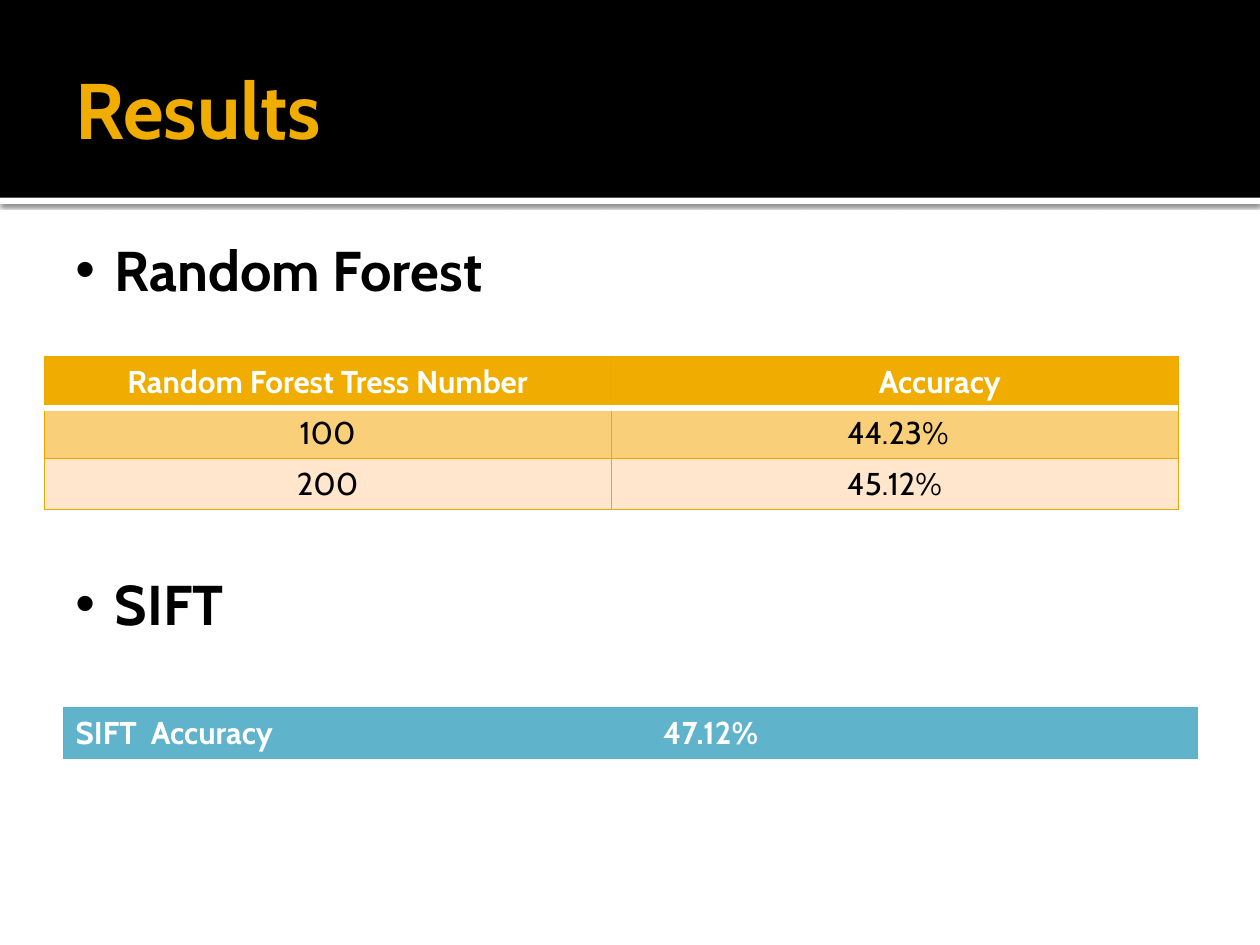
from lxml import etree
from pptx import Presentation
from pptx.dml.color import RGBColor
from pptx.enum import shapes, text
from pptx.oxml import parse_xml
from pptx.oxml.ns import nsdecls, qn
from pptx.util import Pt

THEME = dict(
    font="Cabin", title=45, heading=32, table=18,
    white="FFFFFF", black="000000", gold="F0AD00", gold_line="EBA900",
    band="F9CF7A", pale="FFE6CC", teal="5FB3CB", teal_line="5BB3CA",
)
CENTER, LEFT = text.PP_ALIGN.CENTER, text.PP_ALIGN.LEFT


def write(frame, words, size, color, bold=True, align=LEFT, **layout):
    """Put one styled line of text in a frame."""
    layout = dict(word_wrap=True, vertical_anchor=text.MSO_ANCHOR.TOP) | layout
    for key, value in layout.items():
        setattr(frame, key, value)
    line = frame.paragraphs[0]
    line.alignment = align
    run = line.add_run()
    run.text = words
    for key, value in dict(name=THEME["font"], size=Pt(THEME[size]), bold=bold).items():
        setattr(run.font, key, value)
    run.font.color.rgb = RGBColor.from_string(THEME[color])
    return line


def border(cell, sides):
    """Draw cell edges from a dict of side: (colour, width)."""
    props = cell._tc.get_or_add_tcPr()
    for index, side in enumerate("LRTB"):
        color, width = sides[side]
        props.insert(index, parse_xml(
            f'<a:ln{side} {nsdecls("a")} w="{Pt(width)}"><a:solidFill>'
            f'<a:srgbClr val="{THEME[color]}"/></a:solidFill></a:ln{side}>'))


prs = Presentation()
prs.slide_width, prs.slide_height = Pt(720), Pt(540)
slide = prs.slides.add_slide(prs.slide_layouts[6])

# Header band with a shadowed white rule below it
for top, height, color in ((113, 3.6, "white"), (0, 113, "black")):
    band = slide.shapes.add_shape(
        shapes.MSO_SHAPE.RECTANGLE, Pt(0), Pt(top), Pt(720), Pt(height))
    band.shadow.inherit = False
    band.fill.solid()
    band.fill.fore_color.rgb = RGBColor.from_string(THEME[color])
    band.line.fill.background()
    if color == "white":
        effects = band._element.spPr.find(qn("a:effectLst"))
        shadow = etree.SubElement(effects, qn("a:outerShdw"), blurRad=str(Pt(2.5)),
                                  dist=str(Pt(0.8)), dir="5400000", rotWithShape="0")
        shade = etree.SubElement(shadow, qn("a:srgbClr"), val=THEME["black"])
        etree.SubElement(shade, qn("a:alpha"), val="60000")

title = slide.shapes.add_textbox(Pt(36), Pt(12.24), Pt(648), Pt(98.64))
write(title.text_frame, "Results", "title", "gold",
      vertical_anchor=text.MSO_ANCHOR.MIDDLE, margin_right=Pt(3.6))

# Each table: left, top, row height, line colour, rows of (fill, text colour, bold, align, cells);
# a cell is its words and its left margin
tables = [
    (25.2, 203.76, 29.2, "gold_line", [
        ("gold", "white", True, CENTER, [("Random Forest Tress Number", 7.2), ("Accuracy", 59)]),
        ("band", "black", False, CENTER, [("100", 7.2), ("44.23%", 11)]),
        ("pale", "black", False, CENTER, [("200", 7.2), ("45.12%", 7.2)]),
    ]),
    (36, 404.3, 29.2, "teal_line", [
        ("teal", "white", True, LEFT, [("SIFT  Accuracy", 7.2), ("47.12%", 19)]),
    ]),
]
for left, top, row_height, edge, rows in tables:
    table = slide.shapes.add_table(
        len(rows), 2, Pt(left), Pt(top), Pt(648), Pt(row_height * len(rows))).table
    table.first_row = table.horz_banding = False
    for r, (fill, color, bold, align, cells) in enumerate(rows):
        for c, (words, margin) in enumerate(cells):
            cell = table.cell(r, c)
            cell.margin_left = Pt(margin)
            cell.fill.solid()
            cell.fill.fore_color.rgb = RGBColor.from_string(THEME[fill])
            write(cell.text_frame, words, "table", color, bold, align)
            sides = dict.fromkeys("LRTB", (edge, 0.5))
            if fill == "gold":
                sides["B"] = ("white", 3.78)
            elif fill == "band":
                sides["T"] = ("white", 3.78)
            elif fill == "teal":
                sides["R" if c == 0 else "L"] = ("teal", 0.5)
            border(cell, sides)

# Section headings
for top, words in ((131, "Random Forest"), (322, "SIFT")):
    heading = slide.shapes.add_textbox(Pt(36), Pt(top), Pt(278.64), Pt(46))
    props = write(heading.text_frame, words, "heading", "black")._p.get_or_add_pPr()
    props.set("marL", str(Pt(22.5)))
    props.set("indent", str(-Pt(22.5)))
    etree.SubElement(props, qn("a:buFont"), typeface="Arial")
    etree.SubElement(props, qn("a:buChar"), char="•")

prs.save("out.pptx")
